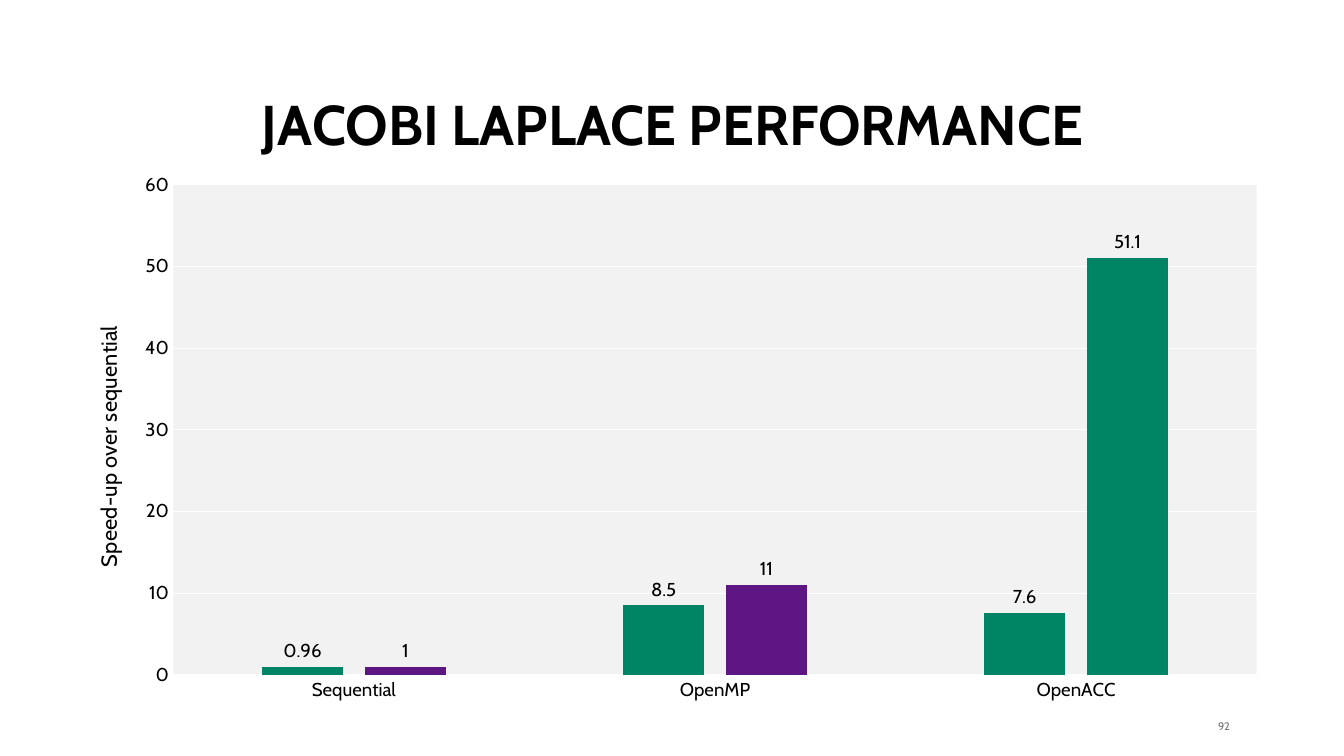
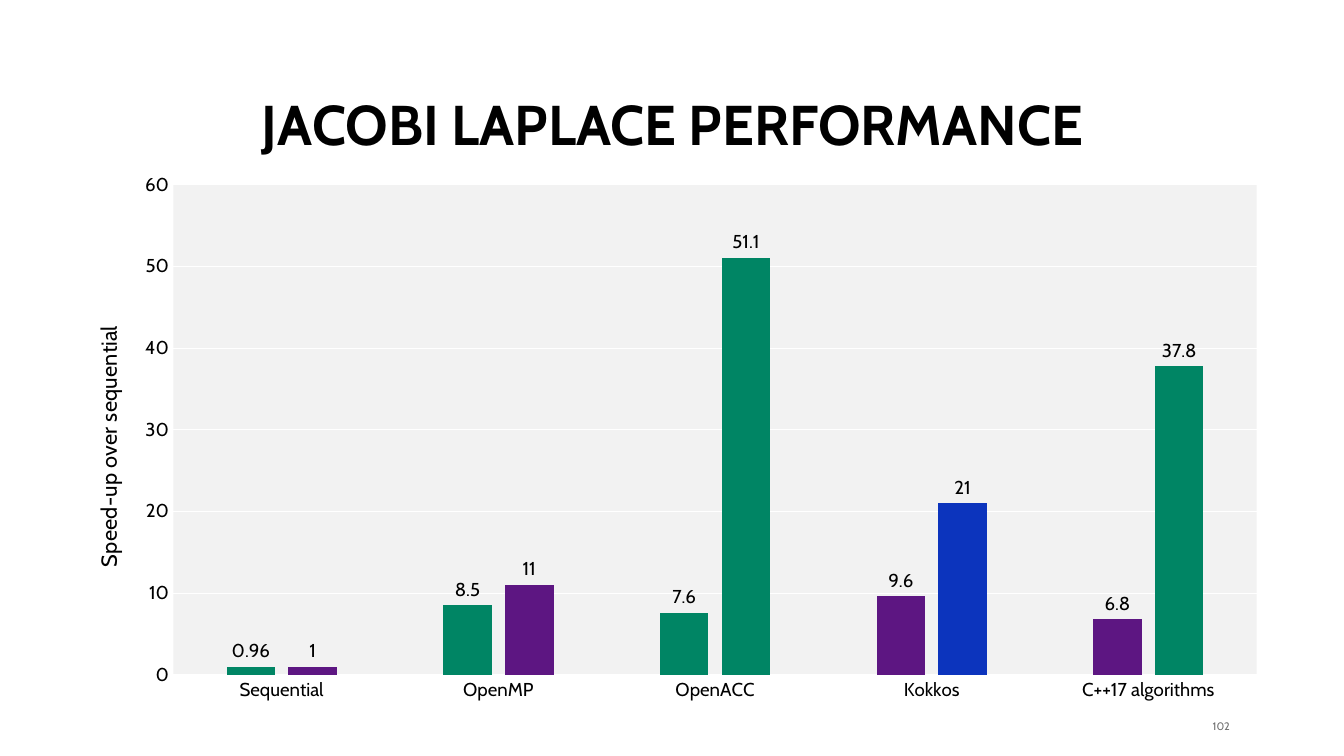
from dataclasses import dataclass, field

from lxml import etree
from pptx import Presentation
from pptx.chart.data import CategoryChartData
from pptx.dml.color import RGBColor
from pptx.enum.chart import XL_CHART_TYPE, XL_LABEL_POSITION, XL_TICK_MARK
from pptx.enum.text import MSO_ANCHOR, MSO_AUTO_SIZE, PP_ALIGN
from pptx.oxml import parse_xml
from pptx.oxml.ns import nsdecls, qn
from pptx.util import Pt

COLUMNS = XL_CHART_TYPE.COLUMN_CLUSTERED
OUTSIDE_END = XL_LABEL_POSITION.OUTSIDE_END
NO_TICK = XL_TICK_MARK.NONE
MIDDLE, BOTTOM = MSO_ANCHOR.MIDDLE, MSO_ANCHOR.BOTTOM
CENTER, RIGHT = PP_ALIGN.CENTER, PP_ALIGN.RIGHT
FIXED_SIZE = MSO_AUTO_SIZE.NONE

FONT = "Cabin"
BLACK = RGBColor(0x00, 0x00, 0x00)
WHITE = RGBColor(0xFF, 0xFF, 0xFF)
GRAY = RGBColor(0x6E, 0x6E, 0x6E)
PLOT_GRAY = RGBColor(0xF2, 0xF2, 0xF2)
GREEN = RGBColor(0x00, 0x85, 0x64)
PURPLE = RGBColor(0x5D, 0x16, 0x82)
BLUE = RGBColor(0x0C, 0x34, 0xBD)

TITLE = "JACOBI LAPLACE PERFORMANCE"
AXIS_TITLE = "Speed-up over sequential"
TITLE_ONLY_LAYOUT = 5


@dataclass
class Series:
    name: str
    values: list[float]
    color: RGBColor
    point_colors: dict[int, RGBColor] = field(default_factory=dict)


@dataclass
class PerformanceSlide:
    number: str
    categories: list[str]
    series: list[Series]


SLIDES = [
    PerformanceSlide(
        "92",
        ["Sequential", "OpenMP", "OpenACC"],
        [
            Series("Series 1", [0.96, 8.5, 7.6], GREEN),
            Series("Series 2", [1, 11, 51.1], PURPLE, {2: GREEN}),
        ],
    ),
    PerformanceSlide(
        "102",
        ["Sequential", "OpenMP", "OpenACC", "Kokkos", "C++17 algorithms"],
        [
            Series("Series 1", [0.96, 8.5, 7.6, 9.6, 6.8], GREEN, {3: PURPLE, 4: PURPLE}),
            Series("Series 2", [1, 11, 51.1, 21, 37.8], PURPLE, {2: GREEN, 3: BLUE, 4: GREEN}),
        ],
    ),
]


def style_font(font, size: float, color: RGBColor = BLACK, bold: bool = False) -> None:
    font.name = FONT
    font.size = Pt(size)
    font.bold = bold
    font.color.rgb = color


def write_text(text_frame, text: str, *, size: float, color: RGBColor = BLACK,
               bold: bool = False, align=CENTER, anchor=MIDDLE,
               line_spacing: float = 1.0) -> None:
    text_frame.word_wrap = True
    text_frame.auto_size = FIXED_SIZE
    text_frame.vertical_anchor = anchor
    paragraph = text_frame.paragraphs[0]
    paragraph.alignment = align
    paragraph.line_spacing = line_spacing
    run = paragraph.add_run()
    run.text = text
    style_font(run.font, size, color, bold)


def manual_layout(**settings: str | float) -> etree._Element:
    """Build a chart layout whose children follow the given order."""
    children = "".join(f'<c:{key} val="{value}"/>' for key, value in settings.items())
    return parse_xml(f"<c:layout {nsdecls('c')}><c:manualLayout>{children}"
                     "</c:manualLayout></c:layout>")


def replace_layout(parent: etree._Element, layout: etree._Element, index: int) -> None:
    for old_layout in parent.findall(qn("c:layout")):
        parent.remove(old_layout)
    parent.insert(index, layout)


def add_title(slide) -> None:
    title = slide.shapes.title
    title.left, title.top, title.width, title.height = Pt(39.6), Pt(58.3), Pt(785.5), Pt(46.8)
    write_text(title.text_frame, TITLE, size=36, bold=True, anchor=BOTTOM, line_spacing=0.9)


def add_page_number(slide, number: str) -> None:
    box = slide.shapes.add_textbox(Pt(767.5), Pt(461.5), Pt(23.2), Pt(10.8))
    frame = box.text_frame
    frame.margin_left = frame.margin_top = frame.margin_right = frame.margin_bottom = 0
    write_text(frame, number, size=7, color=GRAY, align=RIGHT)


def style_plot_area(chart) -> None:
    plot_area = chart._chartSpace.chart.plotArea
    replace_layout(plot_area, manual_layout(
        layoutTarget="inner", xMode="edge", yMode="edge",
        x=0.09, y=0.041, w=0.889, h=0.891), 0)
    plot_area.append(parse_xml(
        f"<c:spPr {nsdecls('c', 'a')}><a:solidFill><a:srgbClr val=\"{PLOT_GRAY}\"/>"
        "</a:solidFill><a:ln><a:noFill/></a:ln></c:spPr>"))


def style_axes(chart) -> None:
    category_axis, value_axis = chart.category_axis, chart.value_axis
    for axis in (category_axis, value_axis):
        axis.major_tick_mark = axis.minor_tick_mark = NO_TICK
        style_font(axis.tick_labels.font, 12)
    value_axis.minimum_scale, value_axis.maximum_scale, value_axis.major_unit = 0, 60, 10
    value_axis.format.line.fill.background()
    value_axis.has_major_gridlines = True
    for line in (category_axis.format.line, value_axis.major_gridlines.format.line):
        line.color.rgb = WHITE
        line.width = Pt(0.75)

    # Axis title, turned to read upwards
    axis_title = value_axis.axis_title
    paragraph = axis_title.text_frame.paragraphs[0]
    run = paragraph.add_run()
    run.text = AXIS_TITLE
    style_font(run.font, 14)
    element = axis_title._element
    body = next(element.iter(qn("a:bodyPr")))
    body.set("rot", "-5400000")
    body.set("vert", "horz")
    replace_layout(element, manual_layout(xMode="edge", yMode="edge", x=0.021, y=0.29), 1)


def style_series(chart_series, series: Series) -> None:
    chart_series.invert_if_negative = False
    chart_series.format.fill.solid()
    chart_series.format.fill.fore_color.rgb = series.color
    for index, color in series.point_colors.items():
        fill = chart_series.points[index].format.fill
        fill.solid()
        fill.fore_color.rgb = color
    labels = chart_series.data_labels
    labels.show_value = True
    labels.position = OUTSIDE_END
    style_font(labels.font, 12)


def add_performance_chart(slide, content: PerformanceSlide) -> None:
    data = CategoryChartData()
    data.categories = content.categories
    for series in content.series:
        data.add_series(series.name, series.values)
    chart = slide.shapes.add_chart(
        COLUMNS, Pt(41), Pt(104.4), Pt(783.4), Pt(353.5), data).chart
    chart.has_title = False
    chart.has_legend = False
    style_font(chart.font, 10, WHITE)
    plot = chart.plots[0]
    plot.vary_by_categories = False
    plot.gap_width = 219
    plot.overlap = -27
    for chart_series, series in zip(plot.series, content.series):
        style_series(chart_series, series)
    style_axes(chart)
    style_plot_area(chart)


def main() -> None:
    presentation = Presentation()
    presentation.slide_width, presentation.slide_height = Pt(864), Pt(486)
    for content in SLIDES:
        slide = presentation.slides.add_slide(presentation.slide_layouts[TITLE_ONLY_LAYOUT])
        add_page_number(slide, content.number)
        add_title(slide)
        add_performance_chart(slide, content)
    presentation.save("out.pptx")


if __name__ == "__main__":
    main()
